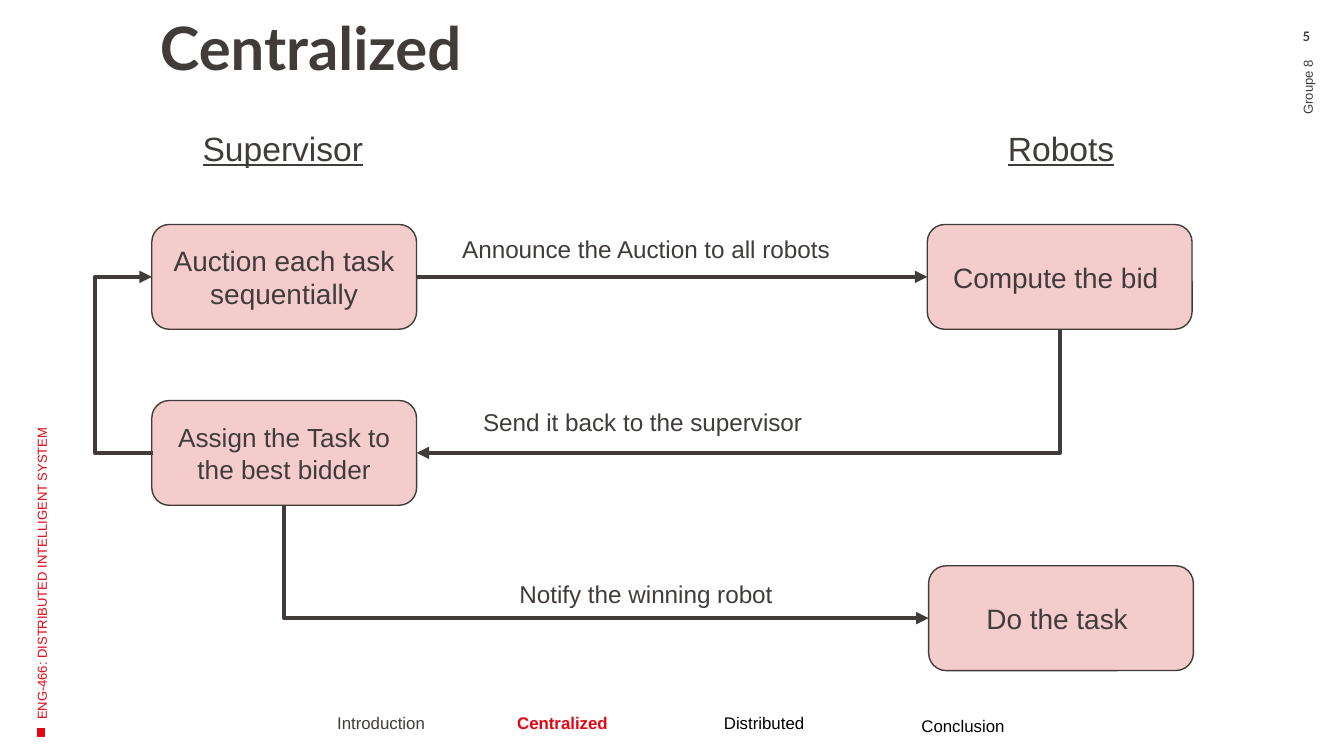
from lxml import etree
from pptx import Presentation
from pptx.dml.color import RGBColor
from pptx.enum.shapes import MSO_CONNECTOR as Line, MSO_SHAPE as Shape
from pptx.enum.text import MSO_ANCHOR as Anchor, PP_ALIGN as Align
from pptx.oxml.ns import qn
from pptx.util import Inches, Pt

DARK, RED, PINK, BLACK = "413C3A", "E30613", "F4CCCC", "000000"

# Content
TITLE = "Centralized"
COURSE = "ENG-466: DISTRIBUTED INTELLIGENT SYSTEM"
GROUP, PAGE = "Groupe 8", "5"
# Column headings: text, left
HEADINGS = [("Supervisor", 1.23), ("Robots", 7.02)]
# Steps: text, left, top, font size
STEPS = {
    "auction": ("Auction each task sequentially", 1.13, 1.67, 15),
    "bid": ("Compute the bid ", 6.9, 1.67, 15),
    "assign": ("Assign the Task to the best bidder", 1.13, 2.98, 14),
    "do": ("Do the task ", 6.91, 4.21, 15),
}
# Messages: text, top
MESSAGES = [
    ("Announce the Auction to all robots", 1.64),
    ("Send it back to the supervisor ", 2.93),
    ("Notify the winning robot", 4.21),
]
# Arrows, tip first: (step, side) at the tip, (step, side) at the start, preset
ARROWS = [
    (("bid", "left"), ("auction", "right"), "line"),
    (("auction", "left"), ("assign", "left"), "bentConnector3"),
    (("do", "left"), ("assign", "bottom"), "bentConnector2"),
    (("assign", "right"), ("bid", "bottom"), "bentConnector2"),
]
# Sections: text, left, top, colour, bold
SECTIONS = [
    ("Introduction", 1.96, 5.23, DARK, False),
    ("Centralized", 3.31, 5.23, RED, True),
    ("Distributed", 4.81, 5.23, BLACK, False),
    ("Conclusion", 6.29, 5.25, BLACK, False),
]

STEP_W, STEP_H = 1.97, 0.78
LOOP_X = 0.7      # where the return loop runs
LOOP_W = 0.01     # an elbow needs some width to scale its bend
SIDES = {"left": (0, 0.5), "right": (1, 0.5), "bottom": (0.5, 1)}


def rgb(colour):
    return RGBColor.from_string(colour)


def write(shape, text, size, colour=DARK, align=Align.CENTER, anchor=Anchor.TOP,
          margins=(0.1, 0.1, 0.1, 0.1), font="Arial", bold=False, underline=False):
    frame = shape.text_frame
    frame.text = text
    frame.word_wrap = True
    frame.vertical_anchor = anchor
    (frame.margin_left, frame.margin_top,
     frame.margin_right, frame.margin_bottom) = map(Inches, margins)
    paragraph = frame.paragraphs[0]
    paragraph.alignment = align
    style = paragraph.runs[0].font
    style.name, style.size, style.bold = font, Pt(size), bold
    style.underline = underline
    style.color.rgb = rgb(colour)


def add_label(left, top, width, height, text, size, **look):
    label = slide.shapes.add_textbox(*map(Inches, (left, top, width, height)))
    write(label, text, size, **look)
    return label


def add_block(kind, left, top, width, height, fill, line):
    block = slide.shapes.add_shape(kind, *map(Inches, (left, top, width, height)))
    block.shadow.inherit = False
    block.fill.solid()
    block.fill.fore_color.rgb = rgb(fill)
    block.line.color.rgb = rgb(line)
    block.line.width = Pt(0.75)
    return block


def port(step, side):
    left, top = STEPS[step][1:3]
    across, down = SIDES[side]
    return left + across * STEP_W, top + down * STEP_H


def add_arrow(tip, start, preset):
    (x1, y1), (x2, y2) = port(*tip), port(*start)
    is_loop = preset == "bentConnector3"
    if is_loop:
        x2 += LOOP_W
    kind = Line.STRAIGHT if preset == "line" else Line.ELBOW
    arrow = slide.shapes.add_connector(kind, *map(Inches, (x1, y1, x2, y2)))
    arrow.line.color.rgb = rgb(DARK)
    arrow.line.width = Pt(2.25)
    properties = arrow._element.spPr
    geometry = properties.find(qn("a:prstGeom"))
    geometry.set("prst", preset)
    if is_loop:
        bend = round((LOOP_X - x1) / LOOP_W * 100000)
        guide = etree.SubElement(geometry.find(qn("a:avLst")), qn("a:gd"))
        guide.set("name", "adj1")
        guide.set("fmla", f"val {bend}")
    etree.SubElement(properties.find(qn("a:ln")), qn("a:headEnd")).set("type", "triangle")
    etree.SubElement(properties, qn("a:effectLst"))


# A 16:9 slide
presentation = Presentation()
presentation.slide_width = Inches(10)
presentation.slide_height = Inches(10 * 9 / 16)
slide = presentation.slides.add_slide(presentation.slide_layouts[5])

# Title
title = slide.shapes.title
title.left, title.top, title.width, title.height = map(Inches, (0.99, 0.14, 8.45, 1.17))
write(title, TITLE, 32, align=Align.LEFT, margins=(0.2, 0, 0.08, 0.05), font="Lato", bold=True)
title.text_frame.paragraphs[0].line_spacing = 0.9

# Page number, course and group along the edges
add_label(9.44, 0.21, 0.56, 0.18, PAGE, 7, margins=(0.1, 0, 0.1, 0), font="Lato", bold=True)
add_block(Shape.RECTANGLE, 0.28, 5.42, 0.05, 0.06, RED, RED)
edge = {"anchor": Anchor.MIDDLE, "margins": (0.1, 0.05, 0.1, 0.05)}
course = add_label(-1.4, 3.56, 3.42, 0.37, COURSE, 7, colour=RED, align=Align.LEFT, **edge)
group = add_label(9.34, 0.57, 0.78, 0.34, GROUP, 7, align=Align.RIGHT, **edge)
course.rotation = group.rotation = 270

# Section bar
for text, left, top, colour, bold in SECTIONS:
    add_label(left, top, 1.75, 0.35, text, 9, colour=colour, bold=bold)

# Flow chart
for text, left in HEADINGS:
    add_label(left, 0.85, 1.75, 0.5, text, 18, underline=True)
for text, left, top, size in STEPS.values():
    step = add_block(Shape.ROUNDED_RECTANGLE, left, top, STEP_W, STEP_H, PINK, DARK)
    write(step, text, size, anchor=Anchor.MIDDLE)
for text, top in MESSAGES:
    add_label(3.31, top, 2.99, 0.42, text, 13)
for tip, start, preset in ARROWS:
    add_arrow(tip, start, preset)

presentation.save("out.pptx")
